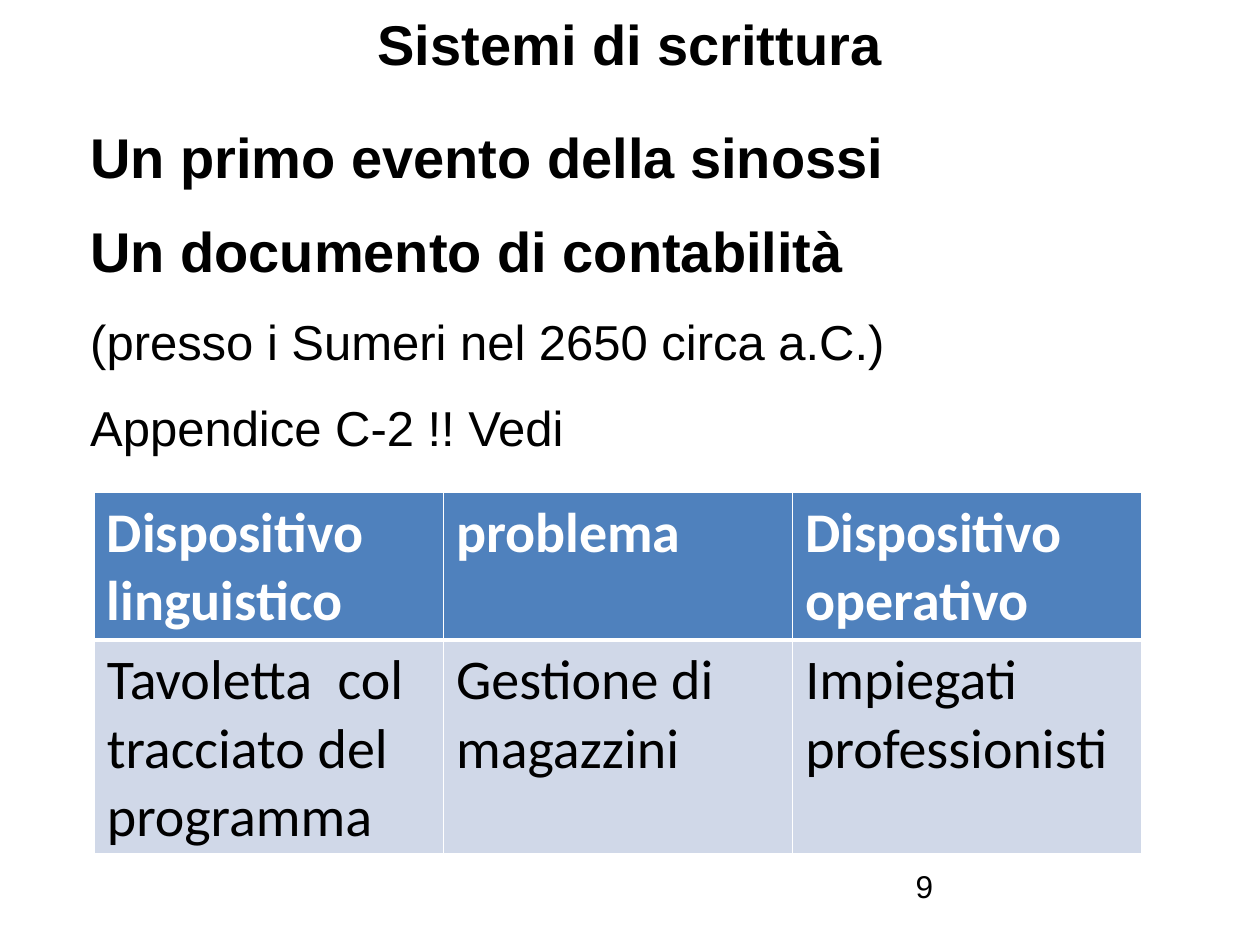
"""Build the slide on writing systems with its table of devices and problems."""
from lxml import etree
from pptx import Presentation
from pptx.dml.color import RGBColor
from pptx.enum.text import MSO_ANCHOR, PP_ALIGN
from pptx.oxml.ns import qn
from pptx.util import Cm, Pt

CENTER, LEFT = PP_ALIGN.CENTER, PP_ALIGN.LEFT
MIDDLE, TOP = MSO_ANCHOR.MIDDLE, MSO_ANCHOR.TOP

COLORS = {"text": "000000", "white": "FFFFFF", "header": "4F81BD", "band": "D0D8E8"}

TITLE = [("Sistemi di scrittura", 32, True)]
POINTS = [
    ("Un primo evento della sinossi", 32, True),
    ("Un documento di contabilità", 32, True),
    ("(presso i Sumeri nel 2650 circa a.C.)", 28, False),
    ("Appendice C-2 !! Vedi", 28, False),
]
PAGE_NUMBER = [("9", 18, False)]
DEVICES = [
    ["Dispositivo linguistico", "problema", "Dispositivo operativo"],
    ["Tavoletta  col tracciato del programma", "Gestione di magazzini", "Impiegati professionisti"],
]
ROW_HEIGHTS = [2.97, 4.32]
COLUMN_WIDTH = 7.04


def add_run(paragraph, text, size, bold, font, color):
    run = paragraph.add_run()
    run.text = text
    run.font.name = font
    run.font.size = Pt(size)
    run.font.bold = bold
    run.font.color.rgb = RGBColor.from_string(COLORS[color])


def add_text(slide, place, lines, align=LEFT, anchor=TOP, space_after=0, indent=0):
    frame = slide.shapes.add_textbox(*map(Cm, place)).text_frame
    frame.word_wrap = True
    frame.vertical_anchor = anchor
    for index, (text, size, bold) in enumerate(lines):
        paragraph = frame.add_paragraph() if index else frame.paragraphs[0]
        paragraph.alignment = align
        paragraph.space_after = Pt(space_after)
        if indent:
            paragraph._p.get_or_add_pPr().set("marL", str(Cm(indent)))
        add_run(paragraph, text, size, bold, "Arial", "text")


def set_borders(cell, widths):
    properties = cell._tc.get_or_add_tcPr()
    for index, (side, width) in enumerate(widths.items()):
        line = etree.Element(qn(f"a:ln{side}"), w=str(Pt(width)))
        fill = etree.SubElement(line, qn("a:solidFill"))
        etree.SubElement(fill, qn("a:srgbClr"), val=COLORS["white"])
        properties.insert(index, line)


def add_devices(slide):
    width = COLUMN_WIDTH * len(DEVICES[0])
    place = map(Cm, (1.9, 9.93, width, sum(ROW_HEIGHTS)))
    table = slide.shapes.add_table(len(DEVICES), len(DEVICES[0]), *place).table
    for column in table.columns:
        column.width = Cm(COLUMN_WIDTH)
    for row, (texts, height) in enumerate(zip(DEVICES, ROW_HEIGHTS)):
        table.rows[row].height = Cm(height)
        is_header = row == 0
        for column, text in enumerate(texts):
            cell = table.cell(row, column)
            cell.fill.solid()
            cell.fill.fore_color.rgb = RGBColor.from_string(COLORS["header" if is_header else "band"])
            set_borders(cell, {"L": 1, "R": 1, "T": 1 if is_header else 3, "B": 3 if is_header else 1})
            add_run(cell.text_frame.paragraphs[0], text, 32, is_header, "Calibri",
                    "white" if is_header else "text")


def main():
    presentation = Presentation()
    presentation.slide_width, presentation.slide_height = Cm(25.4), Cm(19.05)
    slide = presentation.slides.add_slide(presentation.slide_layouts[6])
    add_text(slide, (1.27, 0, 22.86, 1.73), TITLE, align=CENTER, anchor=MIDDLE)
    add_text(slide, (1.27, 2.34, 22.86, 14.68), POINTS, space_after=15.7, indent=0.3)
    add_text(slide, (18.21, 17.35, 5.92, 1.32), PAGE_NUMBER)
    add_devices(slide)
    presentation.save("out.pptx")


if __name__ == "__main__":
    main()
